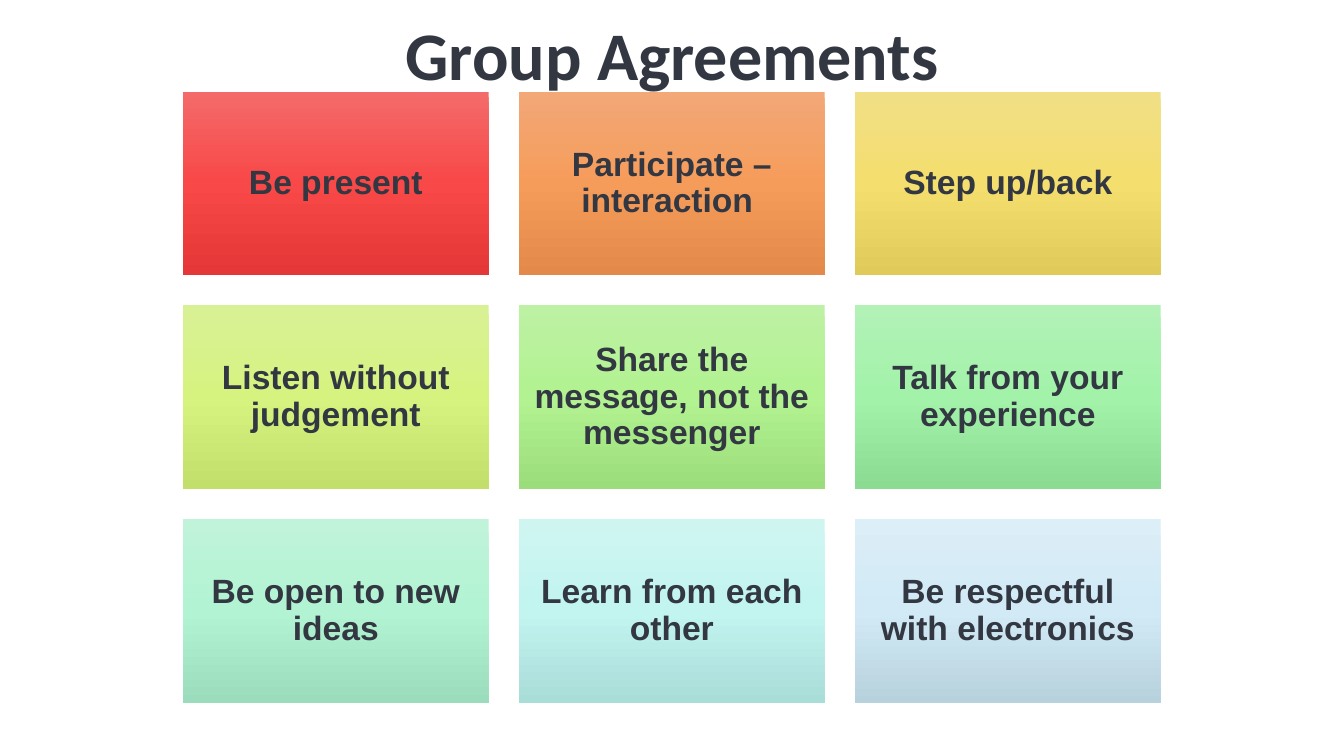
from copy import deepcopy
from dataclasses import dataclass

from pptx import Presentation
from pptx.dml.color import RGBColor
from pptx.enum.shapes import MSO_SHAPE
from pptx.enum.text import MSO_ANCHOR, MSO_AUTO_SIZE, PP_ALIGN
from pptx.util import Pt


@dataclass(frozen=True)
class Theme:
    ink: str = "323741"
    title_font: str = "Calibri"
    title_size: float = 48.6
    card_font: str = "Arial"
    card_size: float = 24
    line_spacing: float = 0.9


THEME = Theme()

COLUMNS = 3
LEFT, TOP = 130.8, 65.4
CARD_W, CARD_H = 218.2, 131
STEP_X, STEP_Y = 240, 152.8

# Wording, then the top, middle and bottom colours of the card.
AGREEMENTS = [
    ("Be present", ("F46A6A", "F84848", "E53737")),
    ("Participate – interaction ", ("F2A877", "F69C5B", "E38949")),
    ("Step up/back", ("F1DF86", "F4DE6E", "E0CA5A")),
    ("Listen without judgement", ("D9F195", "D6F380", "C2DF6B")),
    ("Share the message, not the messenger", ("BDF1A3", "B2F291", "9CDD7B")),
    ("Talk from your experience", ("B2F2B7", "A2F2A9", "8BDC92")),
    ("Be open to new ideas", ("C0F3DA", "B2F3D3", "9ADCBB")),
    ("Learn from each other", ("CFF5F1", "C2F4F0", "A9DDD8")),
    ("Be respectful with electronics", ("DCEEF7", "D1EAF6", "B7D1DD")),
]


def set_text(sp, text, font, size, inset_y):
    tf = sp.text_frame
    tf.text = text
    tf.word_wrap = True
    tf.auto_size = MSO_AUTO_SIZE.NONE
    tf.vertical_anchor = MSO_ANCHOR.MIDDLE
    tf.margin_left = tf.margin_right = Pt(7.2)
    tf.margin_top = tf.margin_bottom = Pt(inset_y)
    p = tf.paragraphs[0]
    p.alignment = PP_ALIGN.CENTER
    p.line_spacing = THEME.line_spacing
    r = p.runs[0]
    r.font.name = font
    r.font.size = Pt(size)
    r.font.bold = True
    r.font.color.rgb = RGBColor.from_string(THEME.ink)


def fill_gradient(sp, colours):
    """Fill from top to bottom with evenly spaced colours."""
    sp.fill.gradient()
    sp.fill.gradient_angle = 270
    stops = sp.fill._fill._gradFill.gsLst
    while len(stops) < len(colours):
        stops.append(deepcopy(stops[0]))
    for i, (stop, colour) in enumerate(zip(sp.fill.gradient_stops, colours)):
        stop.position = i / (len(colours) - 1)
        stop.color.rgb = RGBColor.from_string(colour)


def add_title(s, text):
    sp = s.shapes.title
    sp.left, sp.top, sp.width, sp.height = Pt(201.6), Pt(18), Pt(557), Pt(48)
    set_text(sp, text, THEME.title_font, THEME.title_size, 3.6)


def add_card(s, index, text, colours):
    row, column = divmod(index, COLUMNS)
    sp = s.shapes.add_shape(
        MSO_SHAPE.RECTANGLE,
        Pt(LEFT + column * STEP_X), Pt(TOP + row * STEP_Y),
        Pt(CARD_W), Pt(CARD_H),
    )
    sp.shadow.inherit = False
    sp.line.fill.background()
    fill_gradient(sp, colours)
    set_text(sp, text, THEME.card_font, THEME.card_size, 7.2)


def main():
    prs = Presentation()
    prs.slide_width, prs.slide_height = Pt(960), Pt(540)
    s = prs.slides.add_slide(prs.slide_layouts[5])
    add_title(s, "Group Agreements")
    for i, (text, colours) in enumerate(AGREEMENTS):
        add_card(s, i, text, colours)
    prs.save("out.pptx")


if __name__ == "__main__":
    main()
